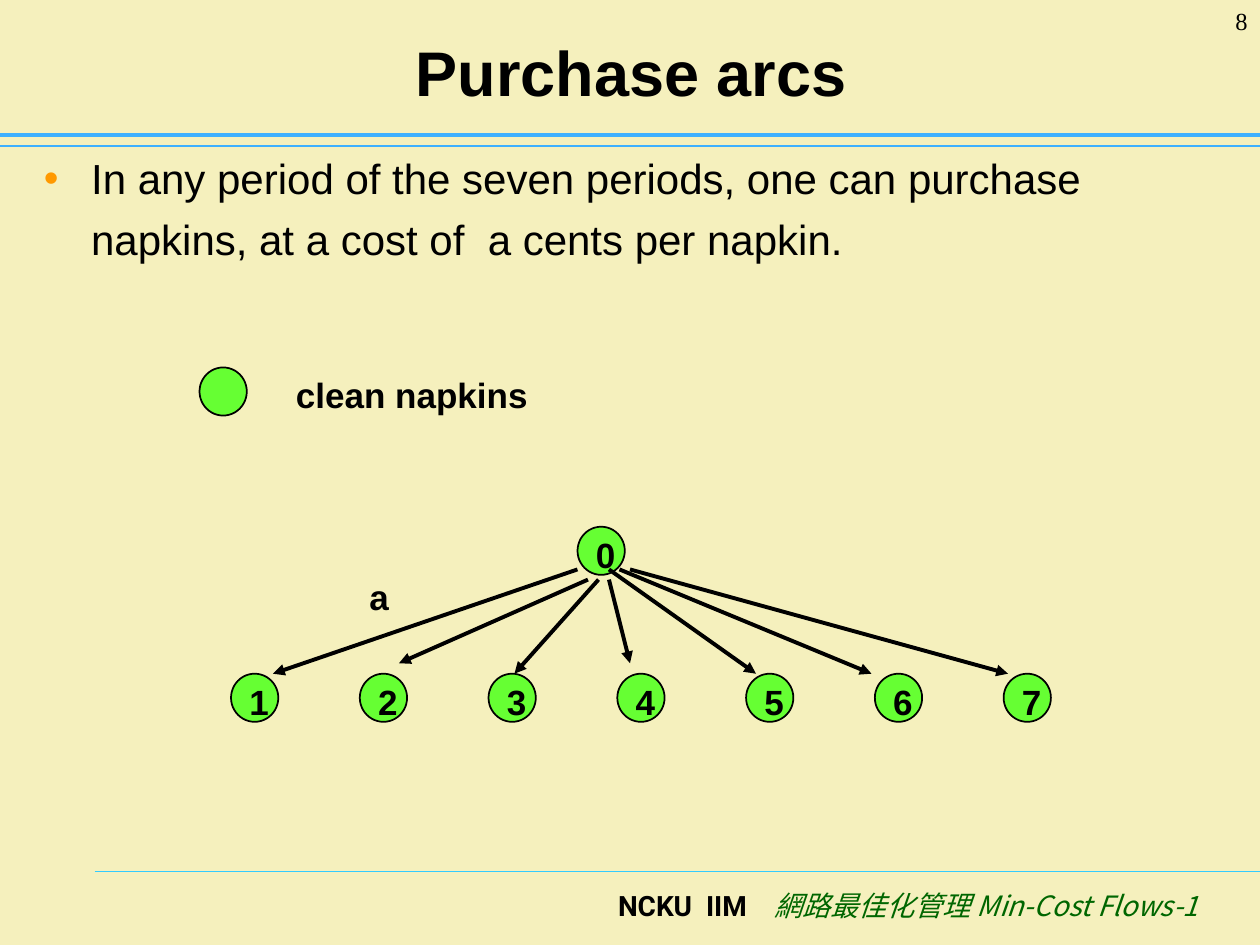
from pptx import Presentation
from pptx.dml.color import RGBColor
from pptx.enum.shapes import MSO_CONNECTOR, MSO_SHAPE
from pptx.enum.text import MSO_ANCHOR, PP_ALIGN
from pptx.oxml import parse_xml
from pptx.oxml.ns import nsdecls, qn
from pptx.util import Pt

CREAM = RGBColor(0xF5, 0xF0, 0xBD)
BLACK = RGBColor(0, 0, 0)
GREEN = RGBColor(0x66, 0xFF, 0x33)
DARK_GREEN = RGBColor(0, 0x66, 0)
BLUE = RGBColor(0x3D, 0xB0, 0xFF)
CYAN = RGBColor(0x33, 0xCC, 0xFF)

NODE = 27  # diameter of a node


def style(r, size, font="Arial", color=BLACK, bold=False, italic=False):
    f = r.font
    f.size, f.name, f.bold, f.italic = Pt(size), font, bold, italic
    f.color.rgb = color


def drawing_xml(tag, attrs="", inner=""):
    return parse_xml(f"<a:{tag} {nsdecls('a')} {attrs}>{inner}</a:{tag}>")


def add_text(s, box, text, size, align=PP_ALIGN.LEFT, wrap=True, inset=True,
             before=0, **look):
    sp = s.shapes.add_textbox(*map(Pt, box))
    tf = sp.text_frame
    tf.word_wrap = wrap
    if not inset:
        tf.margin_left = tf.margin_right = tf.margin_top = tf.margin_bottom = 0
    p = tf.paragraphs[0]
    p.text = text
    p.alignment = align
    p.space_before = Pt(before)
    style(p.runs[0], size, **look)
    return p


def add_line(s, x1, y1, x2, y2, color, width, arrow=False):
    sp = s.shapes.add_connector(MSO_CONNECTOR.STRAIGHT, *map(Pt, (x1, y1, x2, y2)))
    sp.line.color.rgb = color
    sp.line.width = Pt(width)
    if arrow:
        sp.line._get_or_add_ln().append(drawing_xml("tailEnd", 'type="triangle"'))
    sp._element.spPr.append(drawing_xml("effectLst"))


def add_node(s, x, y, label=None):
    sp = s.shapes.add_shape(MSO_SHAPE.OVAL, *map(Pt, (x, y, NODE, NODE + 0.5)))
    sp.shadow.inherit = False
    sp.fill.solid()
    sp.fill.fore_color.rgb = GREEN
    sp.line.color.rgb = BLACK
    sp.line.width = Pt(1)
    if label is not None:
        add_text(s, (x + 10.5, y + 3.6, 11.5, 24), label, 20,
                 wrap=False, inset=False, bold=True)


def add_header(s, x, y, w, h):
    """Title, page number and the double rule along the foot of the box."""
    add_line(s, x, y + h, x + w, y + h, BLUE, 0.75)
    add_line(s, x, y + h - 6.5, x + w, y + h - 6.5, BLUE, 2.5)
    sp = s.shapes.title
    sp.left, sp.top, sp.width, sp.height = map(Pt, (x + 36.7, y + 9.4, 648, 62.6))
    tf = sp.text_frame
    tf.text = "Purchase arcs"
    tf.vertical_anchor = MSO_ANCHOR.MIDDLE
    p = tf.paragraphs[0]
    p.alignment = PP_ALIGN.CENTER
    style(p.runs[0], 36, bold=True)
    add_text(s, (x + w - 60, y, 60, 36), "8", 14, PP_ALIGN.RIGHT,
             font="Times New Roman")


def add_body(s, x, y, w, h):
    p = add_text(s, (x, y, w, h),
                 "In any period of the seven periods, one can purchase napkins, "
                 "at a cost of  a cents per napkin.", 24, before=6)
    p.line_spacing = 1.2
    pPr = p._p.get_or_add_pPr()
    pPr.set("marL", str(Pt(27)))
    pPr.set("indent", str(Pt(-27)))
    pPr.append(drawing_xml("buClr", inner='<a:srgbClr val="FF9900"/>'))
    pPr.append(drawing_xml("buFont", 'typeface="Arial"'))
    pPr.append(drawing_xml("buChar", 'char="•"'))


def add_legend(s, x, y, w, h):
    add_text(s, (x + 48, y, w - 48, h), "clean napkins", 20, before=12.5, bold=True)
    add_node(s, x, y)


def add_network(s, x, y, w, h):
    """Node 0 above a row of seven nodes, with a purchase arc to each."""
    row_y = y + h - NODE
    step = (w - NODE) / 6
    for i in range(7):
        add_node(s, x + i * step, row_y, str(i + 1))
    add_node(s, x + 198, y, "0")

    high, low = y + 24.4, y + 30.2
    near, far = row_y - 6, row_y
    arcs = [(198, high, 24, far), (204, low, 96, near), (210, low, 162, far),
            (216, low, 228, near), (216, high, 300, far), (222, high, 366, far),
            (228, high, 444, far)]
    for x1, y1, x2, y2 in arcs:
        add_line(s, x + x1, y1, x + x2, y2, BLACK, 2.25, arrow=True)
    add_text(s, (x + 72, high, 36, 32), "a", 20, before=12.5, bold=True)


def add_footer(s, x, y, w, h):
    add_line(s, x, y, x + w, y, CYAN, 0.75)
    p = add_text(s, (x + 78, y + 6, 560, h - 6), "NCKU  IIM    ", 16,
                 PP_ALIGN.RIGHT, font="Roboto", bold=True)
    r = p.add_run()
    r.text = "網路最佳化管理 Min-Cost Flows-1"
    style(r, 16, "Noto Sans CJK SC", DARK_GREEN, italic=True)
    r.font._element.find(qn("a:latin")).addnext(
        drawing_xml("ea", 'typeface="Noto Sans CJK SC"'))


def main():
    prs = Presentation()
    prs.slide_width, prs.slide_height = Pt(720), Pt(540)
    s = prs.slides.add_slide(prs.slide_layouts[5])
    s.background.fill.solid()
    s.background.fill.fore_color.rgb = CREAM
    add_footer(s, 54, 498, 666, 42)
    add_header(s, 0, 0, 720, 83.5)
    add_body(s, 18, 78, 684, 102)
    add_network(s, 132, 301, 468.5, 111)
    add_legend(s, 114, 210, 216, 32)
    prs.save("out.pptx")


if __name__ == "__main__":
    main()
